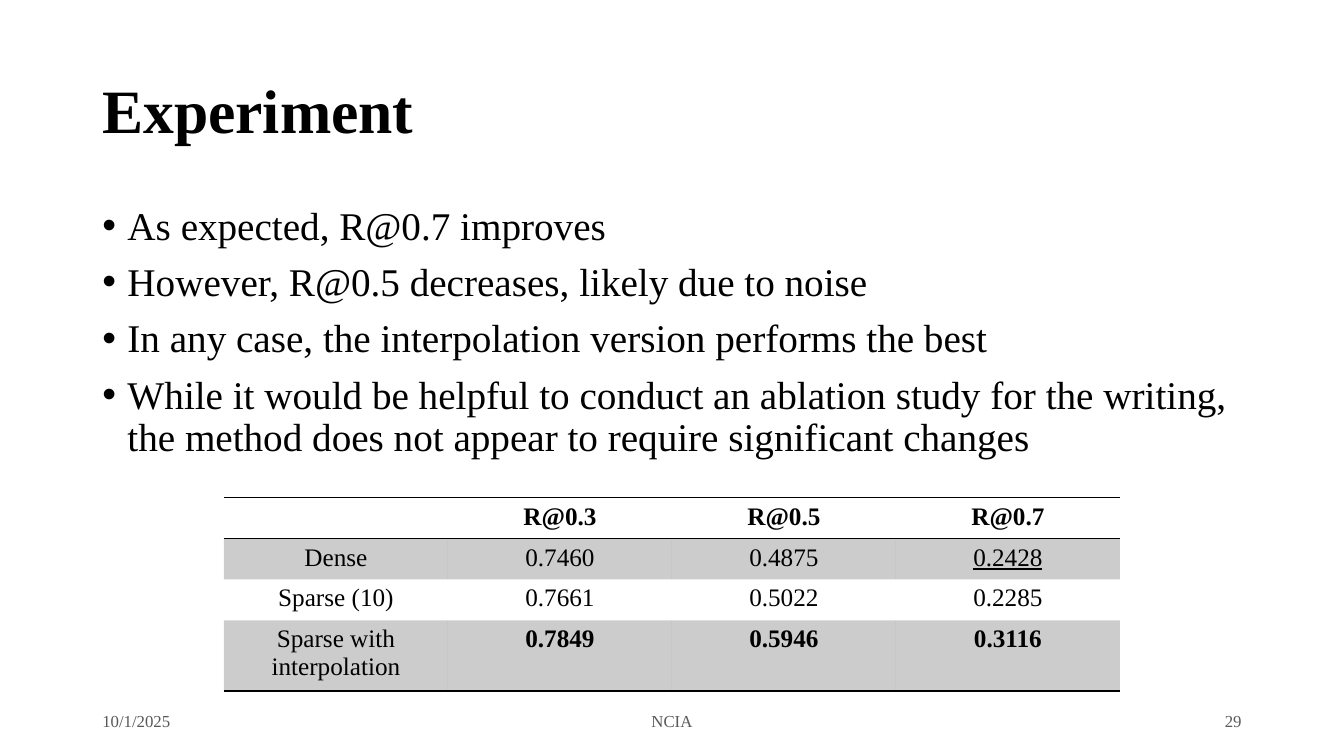
from lxml.etree import SubElement
from pptx import Presentation
from pptx.dml.color import RGBColor
from pptx.enum.text import MSO_ANCHOR, PP_ALIGN
from pptx.oxml.ns import qn
from pptx.util import Pt

HUES = {"ink": "000000", "gray": "595959"}
LEFT, MID, RIGHT = PP_ALIGN.LEFT, PP_ALIGN.CENTER, PP_ALIGN.RIGHT


class Deck:
    face = "Times New Roman"

    def __init__(self, wide, high):
        self.prs = Presentation()
        self.prs.slide_width, self.prs.slide_height = Pt(wide), Pt(high)
        self.page = self.prs.slides.add_slide(self.prs.slide_layouts[6])

    def style(self, para, size, hue="ink", bold=False, align=LEFT):
        para.alignment = align
        for run in para.runs:
            font = run.font
            font.name, font.size, font.bold = self.face, Pt(size), bold
            font.color.rgb = RGBColor.from_string(HUES[hue])

    def text(self, box, words, size, anchor=MSO_ANCHOR.MIDDLE, lead=1.0, **look):
        frame = self.page.shapes.add_textbox(*map(Pt, box)).text_frame
        frame.word_wrap = True
        frame.vertical_anchor = anchor
        frame.text = words
        for para in frame.paragraphs:
            para.line_spacing = lead
            self.style(para, size, **look)
        return frame

    def bullets(self, box, items, size):
        frame = self.text(box, "\n".join(items), size, MSO_ANCHOR.TOP, 0.9)
        for spot, para in enumerate(frame.paragraphs):
            para.space_before = Pt(10 if spot else 0)
            props = para._p.get_or_add_pPr()
            props.set("marL", str(Pt(18)))
            props.set("indent", str(-Pt(18)))
            SubElement(props, qn("a:buFont"), typeface="Arial")
            SubElement(props, qn("a:buChar"), char="•")

    def border(self, cell, edges):
        props = cell._tc.get_or_add_tcPr()
        for edge in "LRTB":
            line = SubElement(props, qn("a:ln" + edge), w=str(Pt(1)))
            if edge in edges:
                fill = SubElement(line, qn("a:solidFill"))
                SubElement(fill, qn("a:srgbClr"), val=HUES["ink"])
            else:
                SubElement(line, qn("a:noFill"))

    def shade(self, cell, alpha):
        cell.fill.solid()
        cell.fill.fore_color.rgb = RGBColor.from_string(HUES["ink"])
        tint = cell._tc.tcPr.find(qn("a:solidFill"))[0]
        SubElement(tint, qn("a:alpha"), val=str(alpha * 1000))

    def table(self, left, top, wide, highs, data, size):
        cols = len(data[0])
        box = (left, top, wide * cols, sum(highs))
        grid = self.page.shapes.add_table(len(data), cols, *map(Pt, box)).table
        grid.first_row = grid.horz_banding = False
        for col in grid.columns:
            col.width = Pt(wide)
        last = len(data) - 1
        edges = {0: "TB", 1: "T", last: "B"}
        for r, row in enumerate(data):
            grid.rows[r].height = Pt(highs[r])
            for c, words in enumerate(row):
                cell = grid.cell(r, c)
                self.border(cell, edges.get(r, ""))
                if r % 2:
                    self.shade(cell, 20)
                else:
                    cell.fill.background()
                cell.text_frame.text = words
                bold = r == 0 or (r == last and c > 0)
                for para in cell.text_frame.paragraphs:
                    self.style(para, size, bold=bold, align=MID)
        return grid


def main():
    deck = Deck(960, 540)
    deck.bullets((66, 143.75, 828, 342.6), [
        "As expected, R@0.7 improves",
        "However, R@0.5 decreases, likely due to noise",
        "In any case, the interpolation version performs the best",
        "While it would be helpful to conduct an ablation study for the writing,\v"
        "the method does not appear to require significant changes",
    ], 28)
    deck.text((66, 28.75, 828, 104.4), "Experiment", 44, lead=0.9, bold=True)
    for left, wide, words, align in (
        (66, 216, "10/1/2025", LEFT),
        (318, 324, "NCIA", MID),
        (678, 216, "29", RIGHT),
    ):
        deck.text((left, 500.5, wide, 28.75), words, 12, hue="gray", align=align)
    grid = deck.table(160, 355.5, 160, [29.2, 29.2, 29.2, 47.5], [
        ["", "R@0.3", "R@0.5", "R@0.7"],
        ["Dense", "0.7460", "0.4875", "0.2428"],
        ["Sparse (10)", "0.7661", "0.5022", "0.2285"],
        ["Sparse with\ninterpolation", "0.7849", "0.5946", "0.3116"],
    ], 18)
    grid.cell(1, 3).text_frame.paragraphs[0].runs[0].font.underline = True
    deck.prs.save("out.pptx")


if __name__ == "__main__":
    main()
